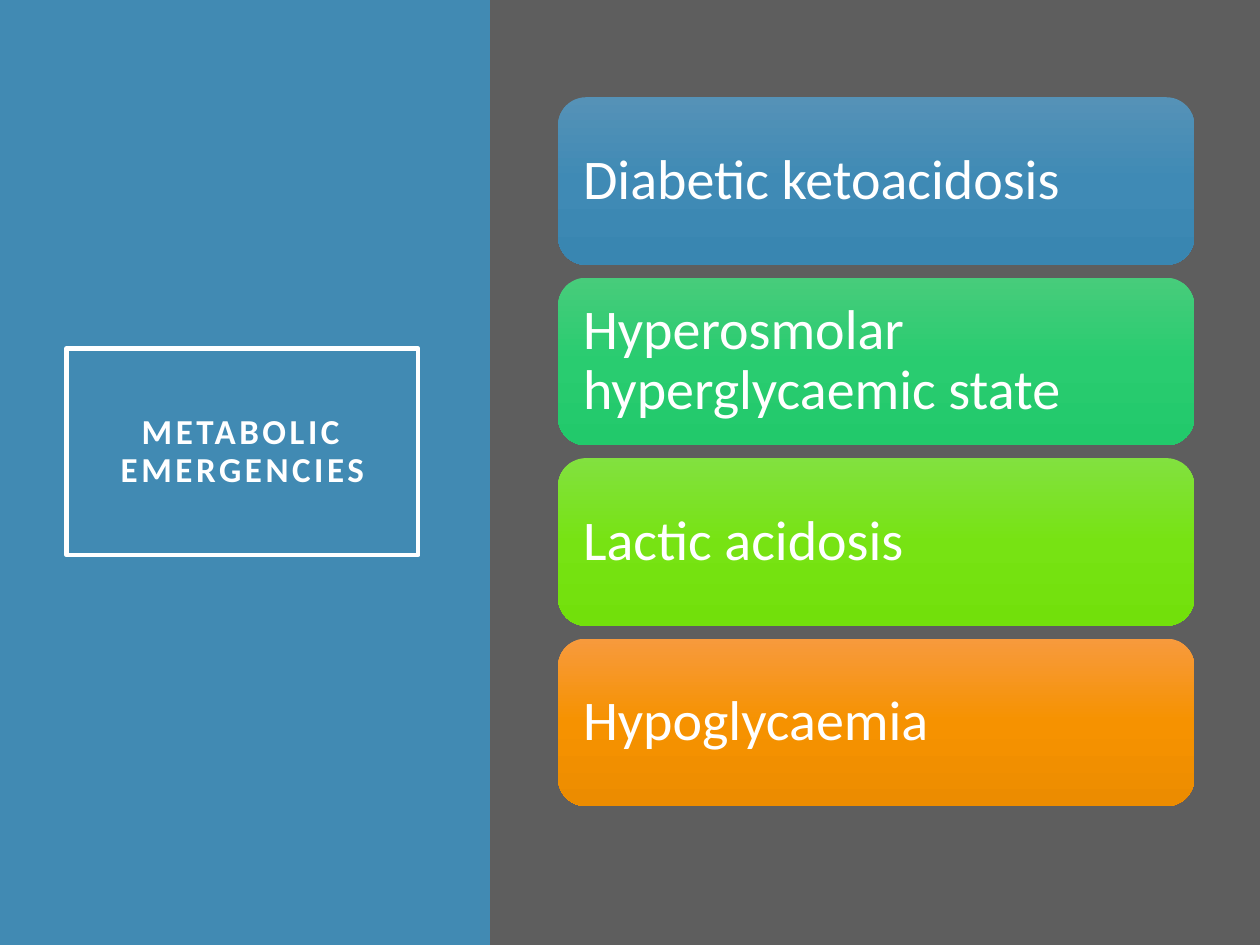
from copy import deepcopy

from pptx import Presentation
from pptx.dml.color import RGBColor
from pptx.enum.shapes import MSO_SHAPE as Shape
from pptx.enum.text import MSO_ANCHOR as Anchor, PP_ALIGN as Align
from pptx.util import Pt

COLORS = {"panel": "418AB3", "ground": "5E5E5E", "text": "FFFFFF"}
CARDS = [
    ("Diabetic ketoacidosis", ("5592B7", "3F8AB5", "3986B1")),
    ("Hyperosmolar hyperglycaemic state", ("47CC7B", "29CC70", "22C96B")),
    ("Lactic acidosis", ("82E13F", "77E313", "72E00B")),
    ("Hypoglycaemia", ("F79A3D", "F69200", "EC8C00")),
]
CARD_LEFT, CARD_TOP, CARD_WIDTH, CARD_HEIGHT = 318.9, 55.6, 363.6, 95.8
CARD_PITCH = 103.1


class SlideBuilder:
    """Holds the style and the current slide, and draws its elements."""

    def __init__(self, slide, font="Calibri"):
        self.slide = slide
        self.font = font

    def color(self, name):
        return RGBColor.from_string(COLORS.get(name, name))

    def background(self, color):
        fill = self.slide.background.fill
        fill.solid()
        fill.fore_color.rgb = self.color(color)

    def shape(self, kind, left, top, width, height):
        shape = self.slide.shapes.add_shape(
            kind, Pt(left), Pt(top), Pt(width), Pt(height)
        )
        shape.shadow.inherit = False
        shape.line.fill.background()
        return shape

    def panel(self, left, width, color):
        shape = self.shape(Shape.RECTANGLE, left, 0, width, 540)
        shape.fill.solid()
        shape.fill.fore_color.rgb = self.color(color)

    def gradient(self, shape, colors):
        shape.fill.gradient()
        shape.fill.gradient_angle = 270
        first = shape._element.spPr.find(".//{*}gs")
        first.addnext(deepcopy(first))
        stops = shape.fill.gradient_stops
        for stop, position, color in zip(stops, (0, 0.5, 1), colors):
            stop.position = position
            stop.color.rgb = self.color(color)

    def text(self, shape, text, size, inset, align, bold=False):
        frame = shape.text_frame
        frame.text = text
        frame.word_wrap = True
        frame.vertical_anchor = Anchor.MIDDLE
        frame.margin_left = frame.margin_right = Pt(inset)
        frame.margin_top = frame.margin_bottom = Pt(inset)
        paragraph = frame.paragraphs[0]
        paragraph.alignment = align
        paragraph.line_spacing = 0.9
        run = paragraph.runs[0]
        run.font.name = self.font
        run.font.size = Pt(size)
        run.font.bold = bold
        run.font.color.rgb = self.color("text")
        return run

    def title(self, text, left, top, width, height):
        shape = self.shape(Shape.RECTANGLE, left, top, width, height)
        shape.fill.background()
        shape.line.color.rgb = self.color("text")
        shape.line.width = Pt(2.5)
        run = self.text(shape, text, 20, 14.4, Align.CENTER, bold=True)
        run.font._element.set("spc", "200")

    def card(self, text, colors, top):
        shape = self.shape(
            Shape.ROUNDED_RECTANGLE, CARD_LEFT, top, CARD_WIDTH, CARD_HEIGHT
        )
        self.gradient(shape, colors)
        self.text(shape, text, 32, 9.6, Align.LEFT)


def main():
    presentation = Presentation()
    presentation.slide_width, presentation.slide_height = Pt(720), Pt(540)
    builder = SlideBuilder(presentation.slides.add_slide(presentation.slide_layouts[6]))
    builder.background("ground")
    builder.panel(0, 280, "panel")
    builder.title("METABOLIC EMERGENCIES", 38, 199.2, 201, 118)
    builder.panel(280.5, 439.5, "ground")
    for index, (text, colors) in enumerate(CARDS):
        builder.card(text, colors, CARD_TOP + index * CARD_PITCH)
    presentation.save("out.pptx")


if __name__ == "__main__":
    main()
